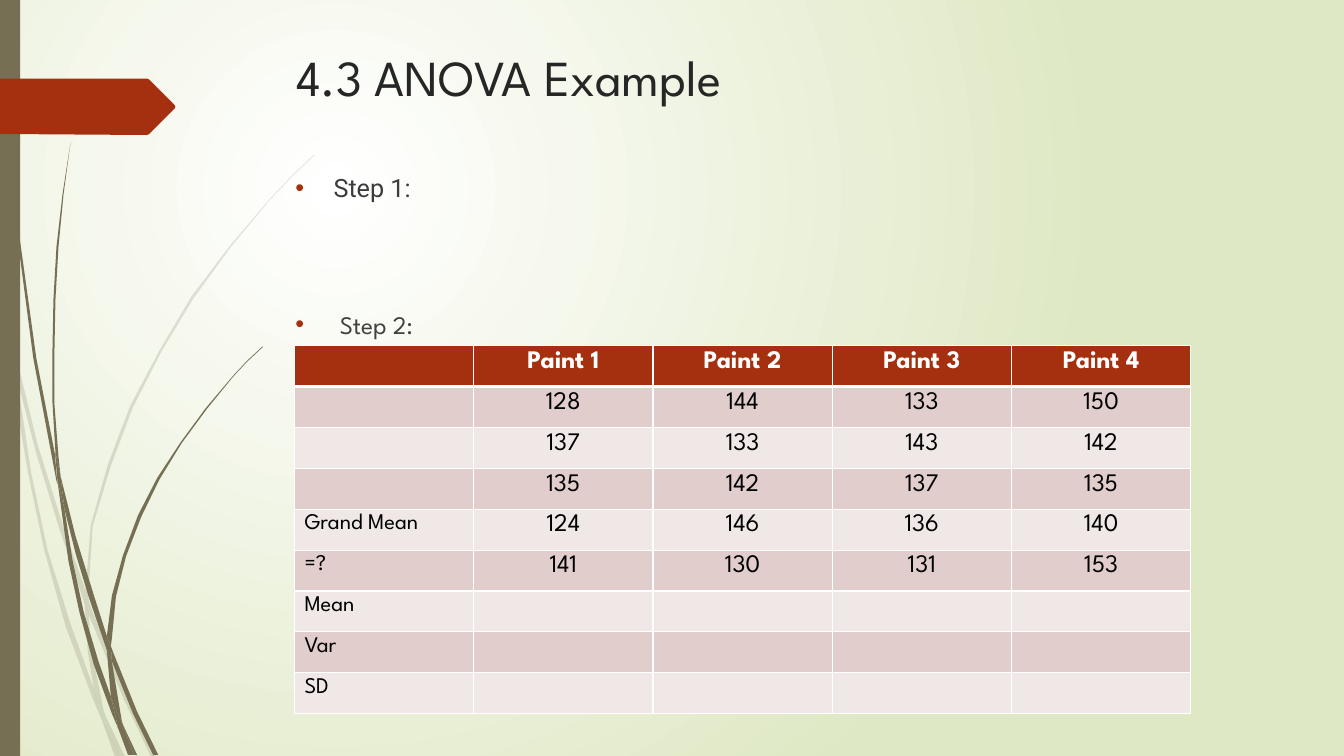
import pptx
import pptx.dml.color
import pptx.enum.shapes
import pptx.enum.text
import pptx.oxml
import pptx.oxml.ns
import pptx.util

# The slide is a grid of 1333 columns by 750 rows, one unit being 0.01 inch
UNIT = pptx.util.Inches(0.01)
COLS, ROWS = 1333, 750

COLORS = {"white": "FFFFFF", "pale": "DFE8C4", "grass": "766F54", "accent": "A53010",
          "title": "262626", "step1": "3C3C3C", "step2": "404040", "black": "000000",
          "band1": "E1CDCC", "band2": "F0E8E7"}
FONT, FONT_ALT = "League Spartan", "Roboto"

# Grass outlines: x, y corners in grid units
PALE_GRASS = [
    [(11, 350), (9, 322), (0, 282), (0, 299), (10, 344)],
    [(58, 522), (84, 599), (85, 586), (62, 520), (37, 440), (14, 345), (17, 376), (36, 450)],
    [(92, 607), (88, 596), (88, 610), (123, 694), (150, 751), (155, 751), (127, 692)],
    [(119, 751), (124, 751), (105, 711)],
    [(93, 683), (70, 619), (47, 545), (31, 469), (17, 376), (11, 350), (18, 411), (28, 470),
     (44, 546), (65, 621), (92, 693), (101, 714), (99, 707)],
    [(84, 599), (87, 646), (93, 683), (96, 692), (105, 711), (103, 706), (91, 646), (88, 610),
     (88, 608)],
    [(88, 584), (92, 522), (110, 462), (132, 404), (160, 349), (192, 296), (229, 245), (268, 198),
     (290, 175), (312, 154), (312, 153), (289, 175), (268, 197), (228, 244), (190, 294),
     (158, 348), (129, 403), (107, 461), (90, 521), (85, 584), (85, 586), (88, 596)],
    [(101, 714), (114, 751), (119, 751)],
    [(88, 608), (88, 610), (88, 596), (85, 586), (84, 599)],
    [(96, 692), (93, 683), (99, 707), (101, 714), (119, 751), (105, 711)],
]
DARK_GRASS = [
    [(7, 110), (17, 233), (33, 355), (56, 477), (57, 481), (55, 457), (55, 453), (36, 355),
     (19, 232), (8, 109), (5, 48), (4, 0), (3, 0), (4, 48)],
    [(88, 592), (106, 645), (106, 633), (106, 631), (93, 590), (75, 532), (60, 472), (64, 505),
     (75, 549)],
    [(113, 649), (110, 641), (111, 656), (132, 708), (152, 749), (157, 749), (136, 706)],
    [(110, 691), (98, 657), (83, 607), (72, 556), (64, 505), (57, 477), (68, 557), (79, 608),
     (93, 659), (111, 708), (117, 722), (116, 717)],
    [(60, 472), (58, 453), (54, 401), (54, 349), (55, 297), (58, 245), (63, 193), (70, 141),
     (62, 193), (56, 245), (53, 297), (52, 349), (52, 399), (55, 449)],
    [(133, 749), (136, 749), (122, 719)],
    [(57, 477), (64, 505), (60, 472), (55, 449), (55, 453)],
    [(111, 633), (115, 592), (125, 552), (140, 513), (158, 476), (180, 440), (205, 406),
     (231, 374), (245, 359), (261, 344), (260, 344), (245, 358), (231, 373), (204, 405),
     (179, 439), (156, 474), (137, 511), (122, 551), (111, 591), (106, 631), (110, 641)],
    [(117, 722), (127, 749), (131, 749)],
    [(106, 645), (110, 691), (116, 706), (122, 719), (121, 716), (111, 656), (109, 651)],
    [(106, 645), (109, 651), (111, 656), (110, 641), (106, 631), (106, 633)],
    [(116, 706), (110, 691), (116, 717), (117, 722), (130, 749), (133, 749), (122, 719)],
]
ARROW = [(0, 78), (146, 78), (148, 79), (173, 104), (174, 106), (173, 108), (148, 133),
         (146, 134), (0, 133)]

TABLE = [
    ["", "Paint 1", "Paint 2", "Paint 3", "Paint 4"],
    ["", "128", "144", "133", "150"],
    ["", "137", "133", "143", "142"],
    ["", "135", "142", "137", "135"],
    ["Grand Mean", "124", "146", "136", "140"],
    ["=?", "141", "130", "131", "153"],
    ["Mean", "", "", "", ""],
    ["Var", "", "", "", ""],
    ["SD", "", "", "", ""],
]


def rgb(name):
    return pptx.dml.color.RGBColor.from_string(COLORS[name])


def add_xml(parent, xml):
    """Append one drawing element, given as markup without its namespace."""
    head, rest = xml.split(" ", 1)
    el = pptx.oxml.parse_xml(f"{head} {pptx.oxml.ns.nsdecls('a')} {rest}")
    parent.append(el)


def paint(sp, color, alpha=None):
    sp.shadow.inherit = False
    sp.fill.solid()
    sp.fill.fore_color.rgb = rgb(color)
    sp.line.fill.background()
    if alpha:
        clr = sp.element.spPr.find(".//" + pptx.oxml.ns.qn("a:srgbClr"))
        add_xml(clr, f'<a:alpha val="{alpha * 1000}"/>')


def add_outline(slide, points, color, alpha=None):
    fb = slide.shapes.build_freeform(*points[0], scale=UNIT)
    fb.add_line_segments(points[1:], close=True)
    paint(fb.convert_to_shape(), color, alpha)


def add_run(p, text, size, color, font=FONT, bold=False):
    r = p.add_run()
    r.text = text
    r.font.size = pptx.util.Pt(size)
    r.font.name = font
    r.font.bold = bold
    r.font.color.rgb = rgb(color)


def add_textbox(slide, x, y, w, h):
    tf = slide.shapes.add_textbox(x * UNIT, y * UNIT, w * UNIT, h * UNIT).text_frame
    tf.word_wrap = True
    return tf


def make_bullet(p):
    pPr = p._p.get_or_add_pPr()
    hang = 38 * UNIT
    pPr.set("marL", str(hang))
    pPr.set("indent", str(-hang))
    add_xml(pPr, f'<a:buClr ><a:srgbClr val="{COLORS["accent"]}"/></a:buClr>')
    add_xml(pPr, '<a:buFont typeface="Arial"/>')
    add_xml(pPr, '<a:buChar char="•"/>')


def set_background(slide):
    fill = slide.background.fill
    fill.gradient()
    for stop, position, color in zip(fill.gradient_stops, (0, 1), ("white", "pale")):
        stop.position = position
        stop.color.rgb = rgb(color)
    grad = slide.element.find(".//" + pptx.oxml.ns.qn("a:gradFill"))
    grad.remove(grad.find(pptx.oxml.ns.qn("a:lin")))
    add_xml(grad, '<a:path path="circle"><a:fillToRect l="50000" t="50000" '
                  'r="100000" b="100000"/></a:path>')


def set_borders(cell, row):
    widths = {"L": 1, "R": 1, "T": 3 if row == 1 else 1, "B": 3 if row == 0 else 1}
    for side, width in widths.items():
        add_xml(cell._tc.get_or_add_tcPr(),
                f'<a:ln{side} w="{pptx.util.Pt(width)}"><a:solidFill>'
                f'<a:srgbClr val="{COLORS["white"]}"/></a:solidFill></a:ln{side}>')


def add_paint_table(slide, x, y, w, h):
    n_rows, n_cols = len(TABLE), len(TABLE[0])
    table = slide.shapes.add_table(n_rows, n_cols, x * UNIT, y * UNIT, w * UNIT, h * UNIT).table
    for i, values in enumerate(TABLE):
        fill = "accent" if i == 0 else "band1" if i % 2 else "band2"
        for j, text in enumerate(values):
            cell = table.cell(i, j)
            set_borders(cell, i)
            cell.fill.solid()
            cell.fill.fore_color.rgb = rgb(fill)
            if text:
                p = cell.text_frame.paragraphs[0]
                if j:
                    p.alignment = pptx.enum.text.PP_ALIGN.CENTER
                add_run(p, text, 18 if j else 16, "black" if i else "white", bold=i == 0)


def main():
    prs = pptx.Presentation()
    prs.slide_width, prs.slide_height = COLS * UNIT, ROWS * UNIT
    slide = prs.slides.add_slide(prs.slide_layouts[6])

    # Background and side decoration
    set_background(slide)
    for points in PALE_GRASS:
        add_outline(slide, points, "grass", alpha=20)
    for points in DARK_GRASS:
        add_outline(slide, points, "grass")
    bar = slide.shapes.add_shape(pptx.enum.shapes.MSO_SHAPE.RECTANGLE, 0, 0, 20 * UNIT, ROWS * UNIT)
    paint(bar, "grass")
    add_outline(slide, ARROW, "accent")

    # Title
    tf = add_textbox(slide, 284, 41, 975, 140)
    add_run(tf.paragraphs[0], "4.3 ANOVA Example", 36, "title")

    # Steps, with room for working between them
    tf = add_textbox(slide, 283, 166, 975, 482)
    step1, step2 = tf.paragraphs[0], tf.add_paragraph()
    step2.space_before = pptx.util.Pt(76)
    for p in (step1, step2):
        make_bullet(p)
    add_run(step1, "Step 1:", 18, "step1", FONT_ALT)
    add_run(step2, " Step 2: ", 18, "step2")

    # Table of paint samples
    add_paint_table(slide, 292, 343, 889, 365)
    prs.save("out.pptx")


main()
